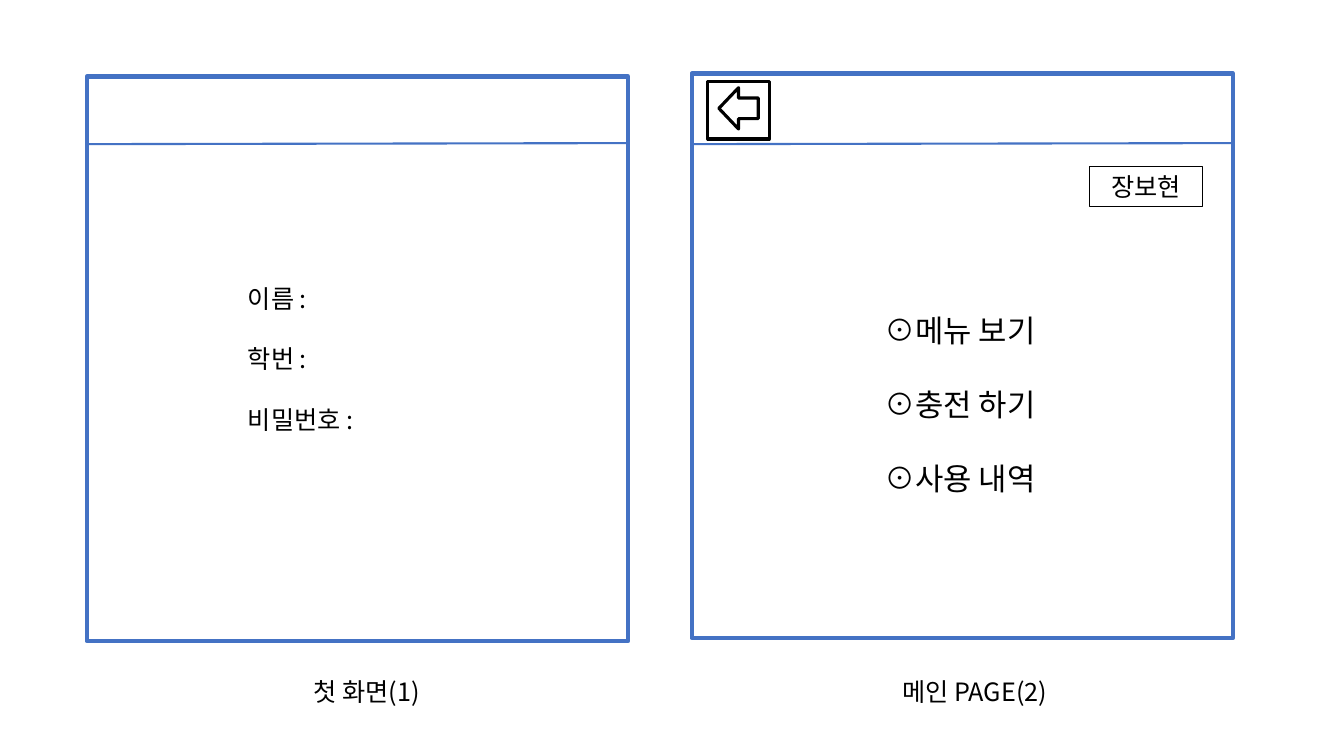
from typing import NamedTuple, Optional

from lxml.etree import SubElement
from pptx import Presentation
from pptx.dml.color import RGBColor
from pptx.enum.shapes import MSO_CONNECTOR as Connector, MSO_SHAPE as Shape
from pptx.enum.text import MSO_ANCHOR as Anchor, MSO_AUTO_SIZE as AutoSize, PP_ALIGN as Align
from pptx.oxml.ns import qn
from pptx.util import Inches, Pt

FONT = "Noto Sans CJK KR"
COLORS = {"frame": "4472C4", "ink": "000000", "paper": "FFFFFF"}
PANEL_WIDTH, PANEL_HEIGHT = 5.37, 5.6


class Box(NamedTuple):
    left: float
    top: float
    width: float
    height: float


class Screen(NamedTuple):
    frame: Box
    fields: tuple[str, ...]
    caption: str
    caption_box: Box


SCREENS = (
    Screen(Box(0.86, 0.76, PANEL_WIDTH, PANEL_HEIGHT), ("이름 :", "학번 :", "비밀번호 :"),
           "첫 화면(1)", Box(3.01, 6.66, 1.34, 0.4)),
    Screen(Box(6.86, 0.73, PANEL_WIDTH, PANEL_HEIGHT), (),
           "메인 PAGE(2)", Box(8.85, 6.66, 1.68, 0.4)),
)
MENU = ("메뉴 보기", "충전 하기", "사용 내역")


def color(name: str) -> RGBColor:
    return RGBColor.from_string(COLORS[name])


def inches(box: Box) -> list:
    return [Inches(length) for length in box]


def write_text(frame, lines, *, size=18, align=Align.LEFT, anchor=Anchor.TOP, wrap=True,
               gap=0.0, margin=0.0, hanging=0.0, bullet: Optional[str] = None,
               auto_size=AutoSize.SHAPE_TO_FIT_TEXT) -> None:
    """Fill a text frame with one paragraph per line, gap points apart."""
    frame.word_wrap = wrap
    frame.auto_size = auto_size
    frame.vertical_anchor = anchor
    for index, line in enumerate(lines):
        para = frame.add_paragraph() if index else frame.paragraphs[0]
        para.alignment = align
        para.space_before = Pt(gap if index else 0)
        properties = para._p.get_or_add_pPr()
        properties.set("marL", str(Inches(margin)))
        properties.set("indent", str(-Inches(hanging)))
        if bullet:
            SubElement(properties, qn("a:buChar")).set("char", bullet)
        span = para.add_run()
        span.text = line
        span.font.name = FONT
        span.font.size = Pt(size)
        span.font.color.rgb = color("ink")
        SubElement(span._r.get_or_add_rPr(), qn("a:ea")).set("typeface", FONT)


def add_outline(page, box: Box, line: str, width: float, *, kind=Shape.RECTANGLE,
                fill: Optional[str] = None):
    shape = page.shapes.add_shape(kind, *inches(box))
    shape.shadow.inherit = False
    if fill:
        shape.fill.solid()
        shape.fill.fore_color.rgb = color(fill)
    else:
        shape.fill.background()
    shape.line.color.rgb = color(line)
    shape.line.width = Pt(width)
    return shape


def add_divider(page, frame: Box) -> None:
    left, right = frame.left + 0.01, frame.left + frame.width - 0.01
    line = page.shapes.add_connector(
        Connector.STRAIGHT, Inches(left), Inches(1.43), Inches(right), Inches(1.42))
    line.line.color.rgb = color("frame")
    line.line.width = Pt(1.5)
    SubElement(line._element.spPr, qn("a:effectLst"))


def add_screen(page, screen: Screen) -> None:
    panel = add_outline(page, screen.frame, "frame", 3, fill="paper")
    if screen.fields:
        write_text(panel.text_frame, screen.fields, anchor=Anchor.MIDDLE, gap=21.6,
                   margin=1.5, auto_size=AutoSize.NONE)
    add_divider(page, screen.frame)
    caption = page.shapes.add_textbox(*inches(screen.caption_box))
    write_text(caption.text_frame, [screen.caption], wrap=False)


def add_menu(page) -> None:
    """Move the body placeholder in front of the panels and fill it."""
    menu = page.placeholders[1]
    page.shapes._spTree.append(menu._element)
    menu.left, menu.top, menu.width, menu.height = inches(Box(8.67, 3.04, 1.99, 1.95))
    write_text(menu.text_frame, MENU, size=22, gap=26.4, margin=0.31, hanging=0.31, bullet="⊙")


def main() -> None:
    deck = Presentation()
    deck.slide_width, deck.slide_height = Inches(13.33), Inches(7.5)
    page = deck.slides.add_slide(deck.slide_layouts.get_by_name("Title and Content"))
    title = page.shapes.title._element
    title.getparent().remove(title)

    for screen in SCREENS:
        add_screen(page, screen)
    add_menu(page)
    user = add_outline(page, Box(10.81, 1.65, 1.12, 0.4), "ink", 0.75)
    write_text(user.text_frame, ["장보현"], align=Align.CENTER)
    add_outline(page, Box(7.02, 0.81, 0.61, 0.57), "ink", 2.25, fill="paper")
    add_outline(page, Box(7.13, 0.87, 0.39, 0.41), "ink", 2.25, kind=Shape.LEFT_ARROW)

    deck.save("out.pptx")


if __name__ == "__main__":
    main()
